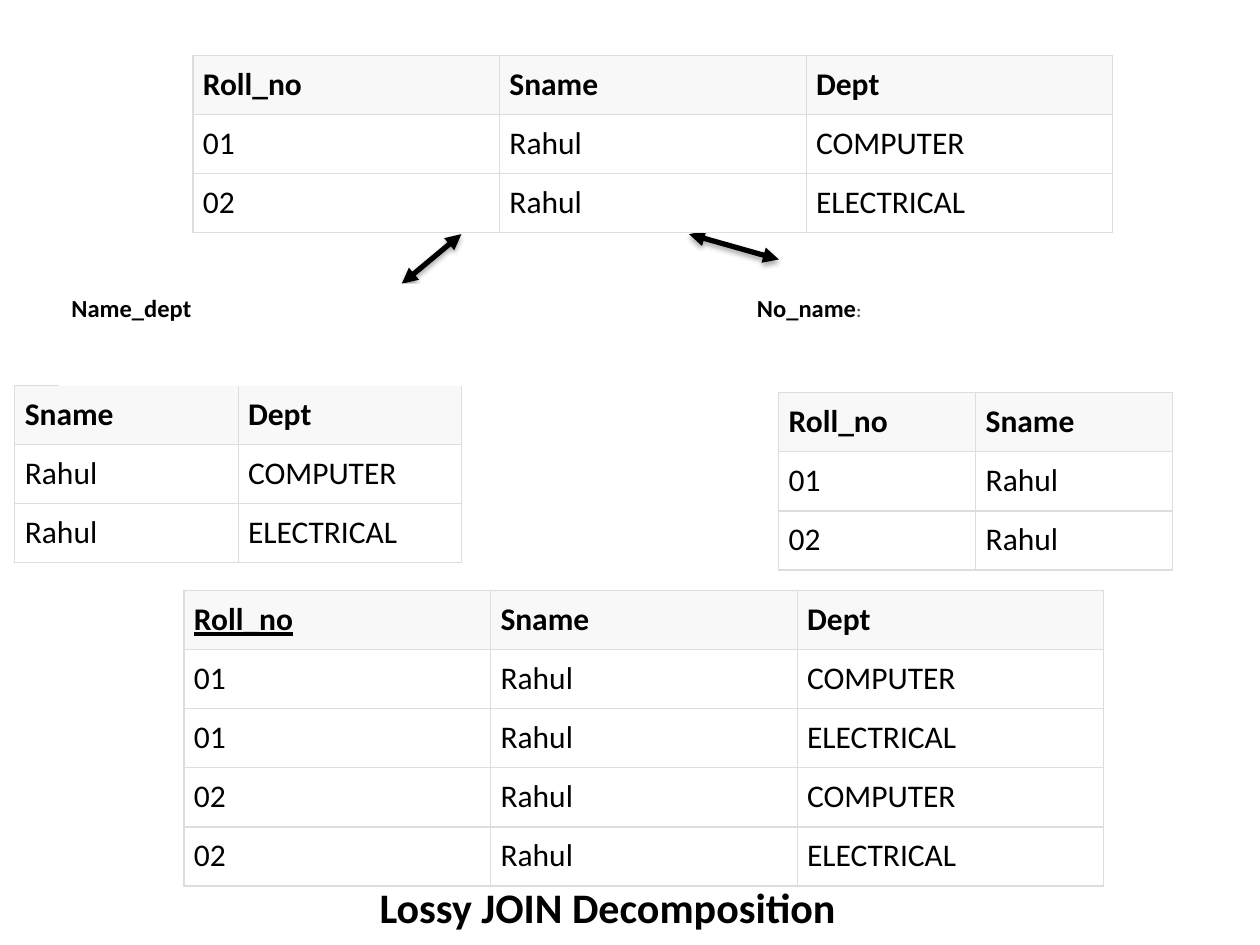
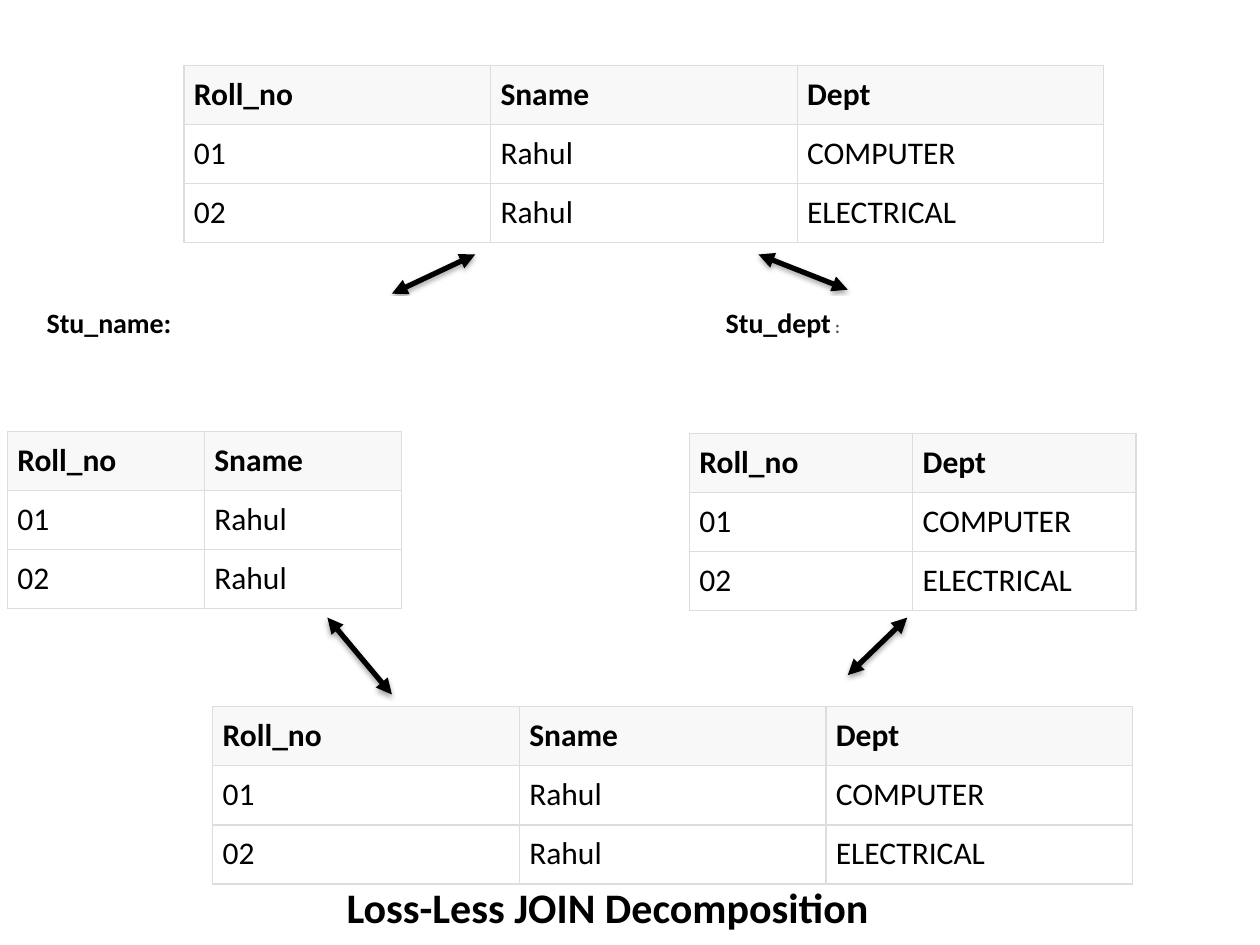
import pptx
import pptx.dml.color
import pptx.enum.shapes
import pptx.enum.text
import pptx.oxml
import pptx.oxml.ns
import pptx.util

Cm, Pt = pptx.util.Cm, pptx.util.Pt

HEAD = ("Roll_no", "Sname", "Dept")
STUDENTS = [HEAD, ("01", "Rahul", "COMPUTER"), ("02", "Rahul", "ELECTRICAL")]
NO_NAME = [row[:2] for row in STUDENTS]
NAME_DEPT = [row[1:] for row in STUDENTS]
NO_DEPT = [row[::2] for row in STUDENTS]
LOSSY_JOIN = [HEAD] + [(no, name, dept) for no, name in NO_NAME[1:]
                       for _, dept in NAME_DEPT[1:]]

# Lengths are in centimetres.
FULL_COL, NAME_COL, DEPT_COL = 6.18, 3.97, 4.5
ROW_HEIGHT = 1.19
TITLE_BOX = (6.6, 17.53, 11.3, 1.5)

# tables: rows, left, top, column width, underlined heading
# labels: box, text size, tab stop, left text, right text, trailing colon
SLIDES = [
    dict(
        title="Lossy JOIN Decomposition",
        arrows=[(13.89, 4.72, 15.7, 5.23), (8.1, 5.72, 9.3, 4.72)],
        tables=[
            (STUDENTS, 3.89, 1.12, FULL_COL, None),
            (NO_NAME, 15.7, 7.92, NAME_COL, None),
            (NAME_DEPT, 0.3, 7.77, DEPT_COL, None),
            (LOSSY_JOIN, 3.71, 11.91, FULL_COL, "Roll_no"),
        ],
        labels=((1.19, 5.72, 19.61, 2.06), 14, 13.82, "Name_dept", "No_name", ":"),
    ),
    dict(
        title="Loss-Less JOIN Decomposition",
        arrows=[(7.9, 5.92, 9.58, 5.13), (15.29, 5.13, 17.09, 5.84),
                (7.9, 14, 6.6, 12.45), (17.09, 13.61, 18.29, 12.45)],
        tables=[
            (STUDENTS, 3.71, 1.32, FULL_COL, None),
            (NO_NAME, 0.15, 8.69, NAME_COL, None),
            (NO_DEPT, 13.9, 8.74, DEPT_COL, None),
            (STUDENTS, 4.29, 14.25, FULL_COL, None),
        ],
        labels=((0.69, 5.97, 21.59, 1.37), 16, 13.69, "Stu_name:", "Stu_dept", " :"),
    ),
]

BLACK, WHITE, GREY = "000000", "FFFFFF", "555555"
HEAD_FILL, BORDER = "F8F8F8", "DDDDDD"

SHADOW = """<a:effectLst %s><a:outerShdw blurRad="%d" dist="%d" dir="5400000"
rotWithShape="0"><a:srgbClr val="%s"><a:alpha val="35000"/></a:srgbClr>
</a:outerShdw></a:effectLst>"""
EDGE = """<a:%s %s w="9525"><a:solidFill><a:srgbClr val="%s"/></a:solidFill></a:%s>"""
NSDECL = pptx.oxml.ns.nsdecls("a")


def rgb(color):
    return pptx.dml.color.RGBColor.from_string(color)


def assign(obj, **values):
    for name, value in values.items():
        setattr(obj, name, value)


def fill(obj, color):
    obj.fill.solid()
    obj.fill.fore_color.rgb = rgb(color)


def add_run(p, text, size, color=BLACK, **values):
    r = p.add_run()
    r.text = text
    assign(r.font, name="Calibri", size=Pt(size), **values)
    r.font.color.rgb = rgb(color)


def add_title(s, text):
    sp = s.shapes.title
    left, top, width, height = map(Cm, TITLE_BOX)
    assign(sp, left=left, top=top, width=width, height=height)
    tf = sp.text_frame
    assign(tf, word_wrap=True, vertical_anchor=pptx.enum.text.MSO_ANCHOR.MIDDLE)
    p = tf.paragraphs[0]
    p.alignment = pptx.enum.text.PP_ALIGN.CENTER
    add_run(p, text, 24, bold=True)


def add_arrow(s, ends):
    """Draw a shadowed line with an arrowhead at both ends."""
    line = s.shapes.add_connector(
        pptx.enum.shapes.MSO_CONNECTOR.STRAIGHT, *map(Cm, ends))
    line.line.width = Pt(3)
    line.line.color.rgb = rgb(BLACK)
    ln = line.line._get_or_add_ln()
    for end in ("headEnd", "tailEnd"):
        ln.append(pptx.oxml.parse_xml(f'<a:{end} {NSDECL} type="triangle"/>'))
    shadow = SHADOW % (NSDECL, Pt(3.1), Pt(1.8), BLACK)
    line._element.spPr.append(pptx.oxml.parse_xml(shadow))


def format_cell(cell, text, is_head, underline):
    margin = Cm(0.2)
    assign(cell, margin_left=margin, margin_right=margin,
           margin_top=margin, margin_bottom=margin)
    fill(cell, HEAD_FILL if is_head else WHITE)
    tcPr = cell._tc.get_or_add_tcPr()
    for i, side in enumerate(("lnL", "lnR", "lnT", "lnB")):
        edge = EDGE % (side, NSDECL, BORDER, side)
        tcPr.insert(i, pptx.oxml.parse_xml(edge))
    add_run(cell.text_frame.paragraphs[0], text, 18, bold=is_head,
            underline=underline)


def add_relation(s, rows, left, top, col_width, key):
    n_rows, n_cols = len(rows), len(rows[0])
    table = s.shapes.add_table(
        n_rows, n_cols, Cm(left), Cm(top),
        Cm(n_cols * col_width), Cm(n_rows * ROW_HEIGHT)).table
    for column in table.columns:
        column.width = Cm(col_width)
    for i, row in enumerate(rows):
        table.rows[i].height = Cm(ROW_HEIGHT)
        for j, text in enumerate(row):
            format_cell(table.cell(i, j), text, i == 0, text == key)


def add_labels(s, box, size, tab, left_text, right_text, colon):
    """Name the two decomposed relations on one line, set apart by a tab."""
    sp = s.shapes.add_shape(
        pptx.enum.shapes.MSO_SHAPE.RECTANGLE, *map(Cm, box))
    sp.shadow.inherit = False
    fill(sp, WHITE)
    sp.line.fill.background()
    tf = sp.text_frame
    assign(tf, word_wrap=True, vertical_anchor=pptx.enum.text.MSO_ANCHOR.TOP,
           margin_left=Cm(0.25), margin_top=Cm(0.18))
    p = tf.paragraphs[0]
    p.alignment = pptx.enum.text.PP_ALIGN.LEFT
    p._p.get_or_add_pPr().append(pptx.oxml.parse_xml(
        f'<a:tabLst {NSDECL}><a:tab pos="{Cm(tab)}" algn="l"/></a:tabLst>'))
    add_run(p, f"{left_text}\t{right_text}", size, bold=True)
    add_run(p, colon, 10, GREY, bold=True)


def main():
    prs = pptx.Presentation()
    assign(prs, slide_width=Cm(25.4), slide_height=Cm(19.05))
    for content in SLIDES:
        s = prs.slides.add_slide(prs.slide_layouts[5])
        add_title(s, content["title"])
        for ends in content["arrows"]:
            add_arrow(s, ends)
        *parts, joined = content["tables"]
        for relation in parts:
            add_relation(s, *relation)
        add_labels(s, *content["labels"])
        add_relation(s, *joined)
    prs.save("out.pptx")


if __name__ == "__main__":
    main()
